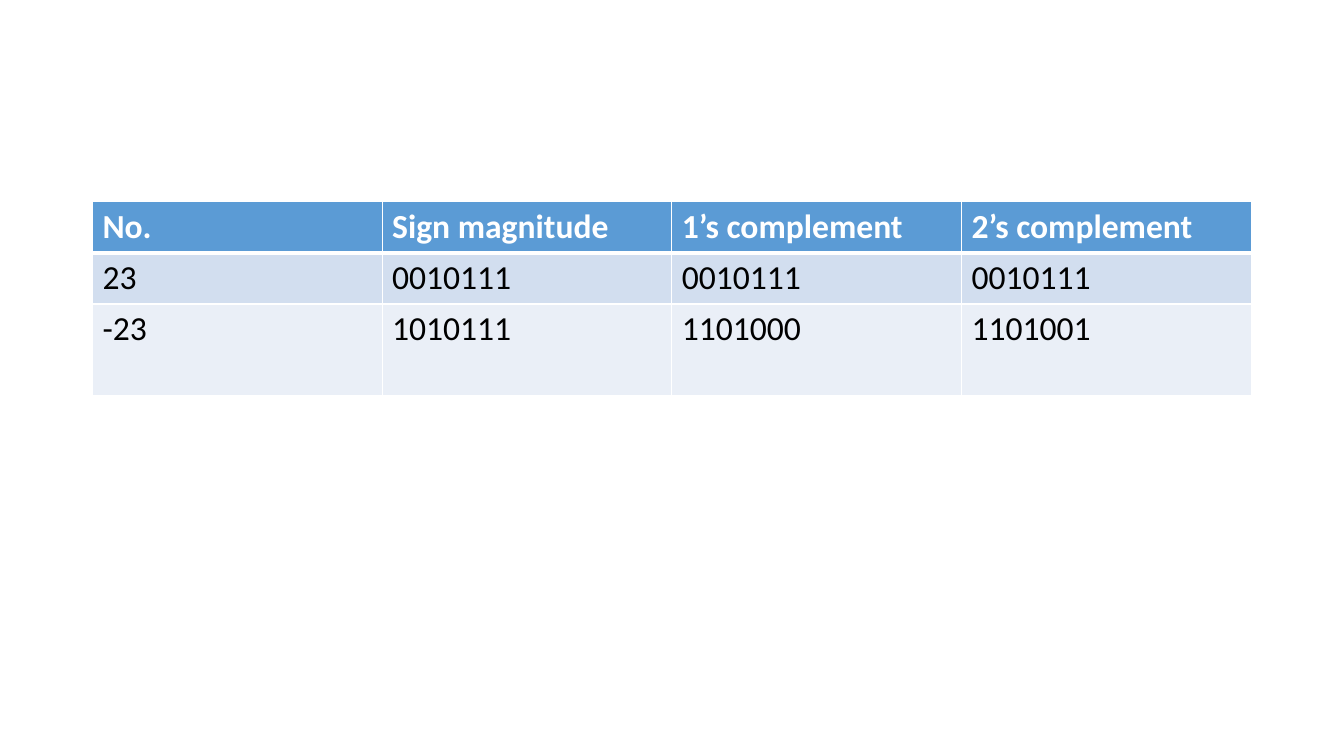
from lxml import etree
from pptx import Presentation
from pptx import util as u
from pptx.dml.color import RGBColor
from pptx.oxml import ns

WHITE = RGBColor(0xFF, 0xFF, 0xFF)
BLACK = RGBColor(0x00, 0x00, 0x00)
HEADER_BLUE = RGBColor(0x5B, 0x9B, 0xD5)
BAND_DARK = RGBColor(0xD2, 0xDE, 0xEF)
BAND_LIGHT = RGBColor(0xEA, 0xEF, 0xF7)

NUMBERS = [
    ["No.", "Sign magnitude", "1’s complement", "2’s complement"],
    ["23", "0010111", "0010111", "0010111"],
    ["-23", "1010111", "1101000", "1101001"],
]
ROW_FILLS = [HEADER_BLUE, BAND_DARK, BAND_LIGHT]
ROW_HEIGHTS = [1.29, 1.29, 2.32]
COLUMN_WIDTH = 7.3


def set_borders(cell, color, **widths):
    properties = cell._tc.get_or_add_tcPr()
    for side, width in widths.items():
        line = etree.SubElement(properties, ns.qn(f"a:ln{side}"), w=str(u.Pt(width)))
        fill = etree.SubElement(line, ns.qn("a:solidFill"))
        etree.SubElement(fill, ns.qn("a:srgbClr"), val=str(color))


def write_cell(cell, words, *, color, bold, fill):
    span = cell.text_frame.paragraphs[0].add_run()
    span.text = words
    span.font.name = "Calibri"
    span.font.size = u.Pt(24)
    span.font.bold = bold
    span.font.color.rgb = color
    cell.fill.solid()
    cell.fill.fore_color.rgb = fill


def add_number_table(page, left, top):
    columns = len(NUMBERS[0])
    frame = page.shapes.add_table(
        len(NUMBERS), columns, u.Cm(left), u.Cm(top),
        u.Cm(columns * COLUMN_WIDTH), u.Cm(sum(ROW_HEIGHTS)))
    table = frame.table
    for column in table.columns:
        column.width = u.Cm(COLUMN_WIDTH)
    for index, (row, height) in enumerate(zip(table.rows, ROW_HEIGHTS)):
        row.height = u.Cm(height)
        header = index == 0
        for cell, words in zip(row.cells, NUMBERS[index]):
            set_borders(cell, WHITE, L=1, R=1,
                        T=3 if index == 1 else 1, B=3 if header else 1)
            write_cell(cell, words, color=WHITE if header else BLACK,
                       bold=header, fill=ROW_FILLS[index])


def main():
    deck = Presentation()
    deck.slide_width = u.Cm(33.87)
    deck.slide_height = u.Cm(19.05)
    page = deck.slides.add_slide(deck.slide_layouts[6])
    add_number_table(page, 2.33, 5.08)
    deck.save("out.pptx")


if __name__ == "__main__":
    main()
